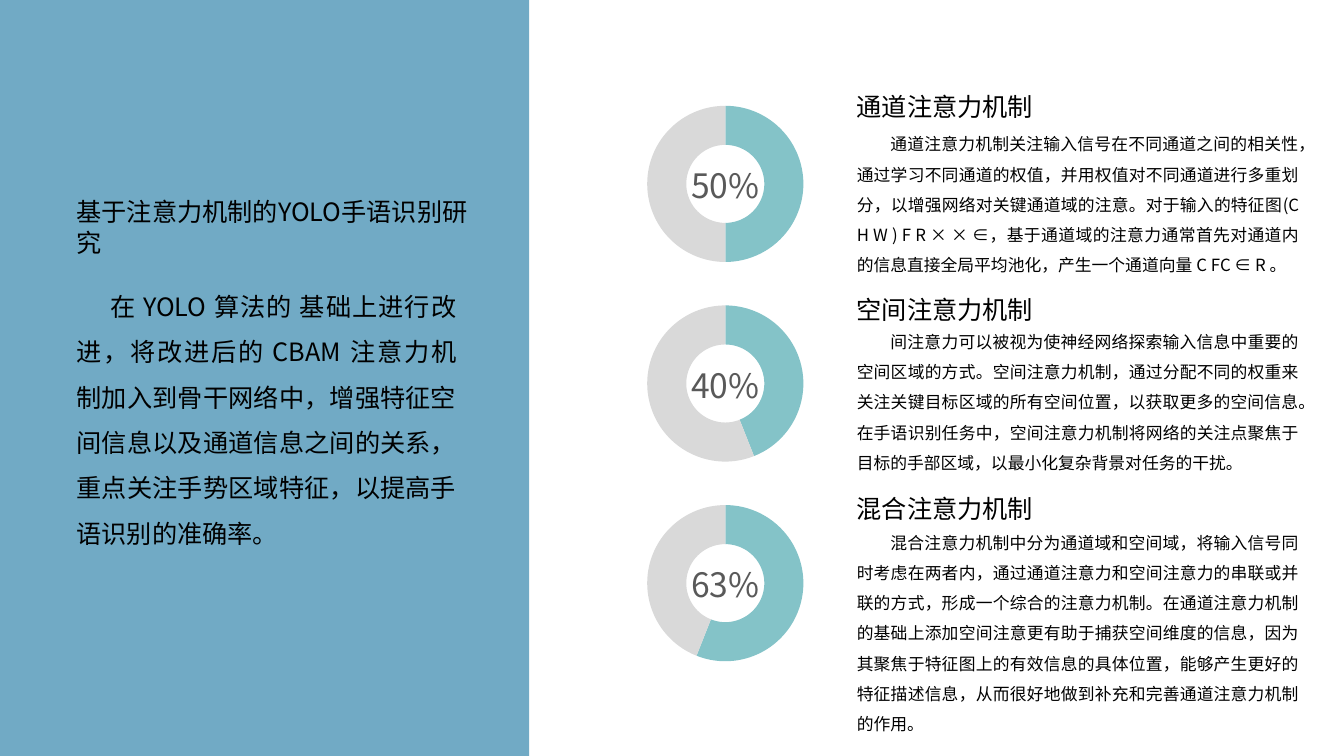
import pptx
import pptx.util
import pptx.chart.data
import pptx.dml.color
import pptx.enum.chart
import pptx.enum.shapes
import pptx.enum.text
import pptx.oxml
import pptx.oxml.ns

Pt = pptx.util.Pt
ALIGN = pptx.enum.text.PP_ALIGN
FONT = "Noto Sans CJK SC"

# Content
TITLE = "基于注意力机制的YOLO手语识别研究"
INTRO = ("在 YOLO 算法的 基础上进行改进，将改进后的 CBAM 注意力机制加入到骨干网络中，"
         "增强特征空间信息以及通道信息之间的关系，重点关注手势区域特征，以提高手语识别的准确率。")

# Heading, heading top, text top, text height, ring label, ring values, text
SECTIONS = [
    ("通道注意力机制", 65.5, 88.5, 106, "50%", (50, 50),
     "通道注意力机制关注输入信号在不同通道之间的相关性，通过学习不同通道的权值，"
     "并用权值对不同通道进行多重划分，以增强网络对关键通道域的注意。"
     "对于输入的特征图(C H W ) F R × × ∈，基于通道域的注意力通常首先对通道内的信息"
     "直接全局平均池化，产生一个通道向量 C FC ∈ R 。"),
    ("空间注意力机制", 210.2, 229.7, 106, "40%", (44, 56),
     "间注意力可以被视为使神经网络探索输入信息中重要的空间区域的方式。"
     "空间注意力机制，通过分配不同的权重来关注关键目标区域的所有空间位置，"
     "以获取更多的空间信息。在手语识别任务中，空间注意力机制将网络的关注点聚焦于"
     "目标的手部区域，以最小化复杂背景对任务的干扰。"),
    ("混合注意力机制", 352.1, 373, 150.5, "63%", (56, 44),
     "混合注意力机制中分为通道域和空间域，将输入信号同时考虑在两者内，"
     "通过通道注意力和空间注意力的串联或并联的方式，形成一个综合的注意力机制。"
     "在通道注意力机制的基础上添加空间注意更有助于捕获空间维度的信息，"
     "因为其聚焦于特征图上的有效信息的具体位置，能够产生更好的特征描述信息，"
     "从而很好地做到补充和完善通道注意力机制的作用。"),
]
RING_COLORS = ("84C3C8", "D9D9D9")

# Layout in points
SLIDE_W, SLIDE_H = 960, 540
PANEL_W = 378
LEFT_X = 54.7
RING_X, RING_Y, RING_W, RING_H = 448.6, 65.5, 139, 131.8
RING_PITCH = 142.6
RING_SIZE = 111.6
LABEL_W, LABEL_H = 74, 29
TEXT_X, TEXT_W = 612, 316


def rgb(value):
    return pptx.dml.color.RGBColor.from_string(value)


def write(sp, text, size, font=FONT, color="000000", align=ALIGN.LEFT,
          line=1.0, indent=0):
    tf = sp.text_frame
    tf.word_wrap = True
    tf.auto_size = pptx.enum.text.MSO_AUTO_SIZE.NONE
    tf.vertical_anchor = pptx.enum.text.MSO_ANCHOR.TOP
    tf.margin_left = tf.margin_right = tf.margin_top = tf.margin_bottom = 0
    p = tf.paragraphs[0]
    p.alignment, p.line_spacing, p.space_before = align, line, Pt(0)
    pPr = p._p.get_or_add_pPr()
    pPr.set("marL", "0")
    pPr.set("indent", str(Pt(indent)))
    pptx.oxml.ns.qn("a:buNone")
    pPr.append(pptx.oxml.parse_xml(
        "<a:buNone %s/>" % pptx.oxml.ns.nsdecls("a")))
    r = p.add_run()
    r.text = text
    r.font.size, r.font.name, r.font.bold = Pt(size), font, False
    r.font.color.rgb = rgb(color)
    r.font._element.append(pptx.oxml.parse_xml(
        '<a:ea %s typeface="%s"/>' % (pptx.oxml.ns.nsdecls("a"), FONT)))


def place(sp, x, y, w, h):
    sp.left, sp.top, sp.width, sp.height = Pt(x), Pt(y), Pt(w), Pt(h)
    return sp


def add_text(s, x, y, w, h, text, size, **fmt):
    write(s.shapes.add_textbox(Pt(x), Pt(y), Pt(w), Pt(h)), text, size, **fmt)


def add_ring(s, y, values):
    data = pptx.chart.data.CategoryChartData()
    data.categories = ["1", "2"]
    data.add_series("Series 1", values)
    chart = s.shapes.add_chart(
        pptx.enum.chart.XL_CHART_TYPE.DOUGHNUT,
        Pt(RING_X), Pt(y), Pt(RING_W), Pt(RING_H), data).chart
    chart.has_legend = chart.has_title = False
    chart.font.size, chart.font.name = Pt(10), FONT
    chart.font.color.rgb = rgb("000000")
    plot = chart.plots[0]
    plot.vary_by_categories = True
    for i, color in enumerate(RING_COLORS):
        fmt = plot.series[0].points[i].format
        fmt.fill.solid()
        fmt.fill.fore_color.rgb = rgb(color)
        fmt.line.fill.background()
    plot._element.find(pptx.oxml.ns.qn("c:holeSize")).set("val", "84")

    # Centre the ring in its frame
    w, h = RING_SIZE / RING_W, RING_SIZE / RING_H
    parts = [("layoutTarget", "inner"), ("xMode", "edge"), ("yMode", "edge"),
             ("x", (1 - w) / 2), ("y", (1 - h) / 2), ("w", w), ("h", h)]
    area = chart._chartSpace.chart.plotArea
    for old in area.findall(pptx.oxml.ns.qn("c:layout")):
        area.remove(old)
    area.insert(0, pptx.oxml.parse_xml(
        "<c:layout %s><c:manualLayout>%s</c:manualLayout></c:layout>" % (
            pptx.oxml.ns.nsdecls("c"),
            "".join('<c:%s val="%s"/>' % part for part in parts))))


def main():
    prs = pptx.Presentation()
    prs.slide_width, prs.slide_height = Pt(SLIDE_W), Pt(SLIDE_H)
    s = prs.slides.add_slide(prs.slide_layouts[1])

    # Left panel, behind the placeholders
    panel = s.shapes.add_shape(pptx.enum.shapes.MSO_SHAPE.RECTANGLE,
                               0, 0, Pt(PANEL_W), Pt(SLIDE_H))
    panel.shadow.inherit = False
    panel.fill.solid()
    panel.fill.fore_color.rgb = rgb("71AAC5")
    panel.line.fill.background()
    s.shapes._spTree.insert(2, panel._element)

    # Title and introduction
    write(place(s.shapes.title, LEFT_X, 140.4, 281, 44), TITLE, 18)
    write(place(s.placeholders[1], LEFT_X, 197.3, 271.4, 193), INTRO, 18,
          align=ALIGN.JUSTIFY, line=1.5, indent=24)

    # Rings with their descriptions
    label_x = RING_X + (RING_W - LABEL_W) / 2
    for i, (head, head_y, text_y, text_h, label, values, text) in enumerate(SECTIONS):
        y = RING_Y + i * RING_PITCH
        add_ring(s, y, values)
        add_text(s, label_x, y + 52.4, LABEL_W, LABEL_H, label, 24,
                 color="595959", align=ALIGN.CENTER)
        add_text(s, TEXT_X, head_y, 128, 21.6, head, 18, font="Arial")
        add_text(s, TEXT_X, text_y, TEXT_W, text_h, text, 12,
                 align=ALIGN.JUSTIFY, line=1.5, indent=24)

    prs.save("out.pptx")


if __name__ == "__main__":
    main()
